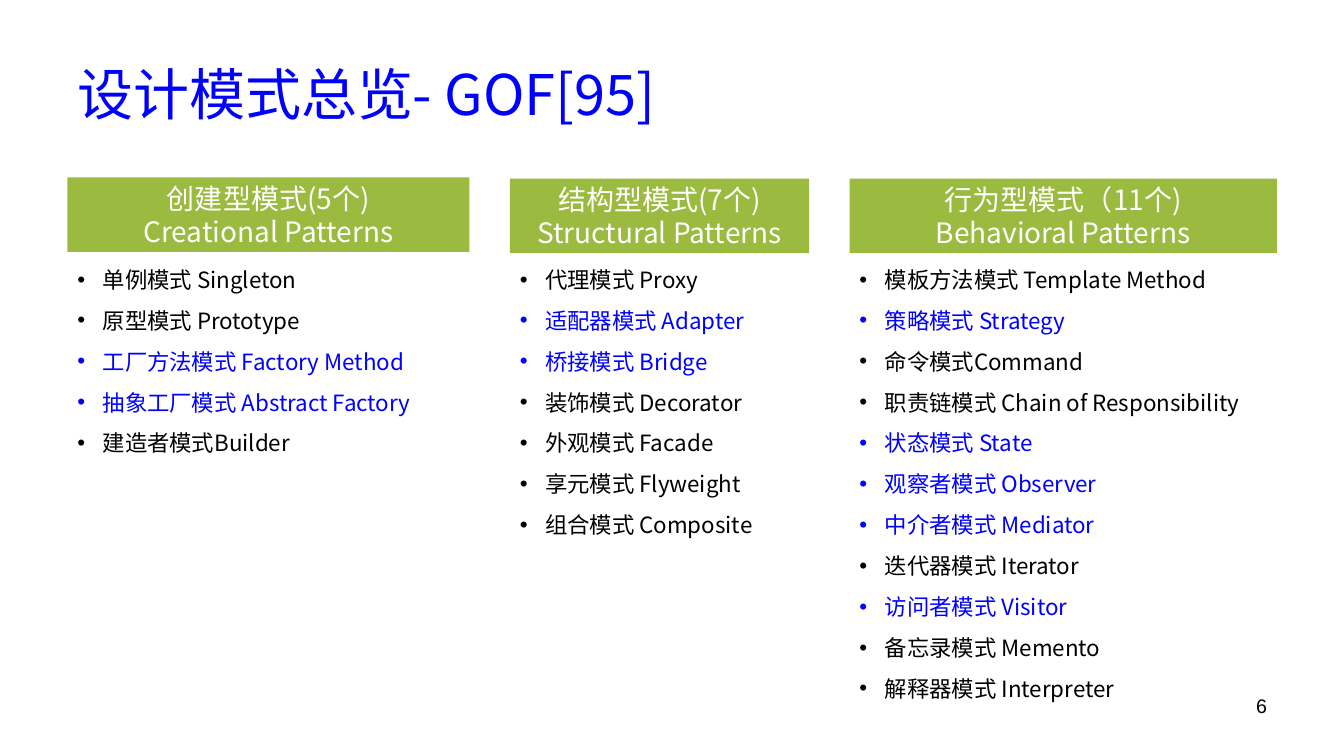
from dataclasses import dataclass

from lxml import etree
from pptx import Presentation
from pptx.dml.color import RGBColor
from pptx.enum import shapes, text
from pptx.oxml.ns import qn
from pptx.util import Cm, Pt

BLUE = RGBColor(0x00, 0x00, 0xFF)
GREEN = RGBColor(0x9B, 0xBB, 0x40)
BLACK = RGBColor(0x00, 0x00, 0x00)
WHITE = RGBColor(0xFF, 0xFF, 0xFF)
CJK_FONT = "Noto Sans CJK SC"
LIST_TOP = 6.58
HEADER_HEIGHT = 1.88


@dataclass
class Pattern:
    name: str
    highlighted: bool = False


@dataclass
class Category:
    left: float
    width: float
    header_top: float
    list_height: float
    heading: tuple[str, str]
    patterns: list[Pattern]


CATEGORIES = [
    Category(1.7, 10.13, 4.47, 5.28, ("创建型模式(5个)", "Creational Patterns"), [
        Pattern("单例模式 Singleton"),
        Pattern("原型模式 Prototype"),
        Pattern("工厂方法模式 Factory Method", True),
        Pattern("抽象工厂模式 Abstract Factory", True),
        Pattern("建造者模式Builder"),
    ]),
    Category(12.85, 7.54, 4.5, 8.31, ("结构型模式(7个)", "Structural Patterns"), [
        Pattern("代理模式 Proxy"),
        Pattern("适配器模式 Adapter", True),
        Pattern("桥接模式 Bridge", True),
        Pattern("装饰模式 Decorator"),
        Pattern("外观模式 Facade"),
        Pattern("享元模式 Flyweight"),
        Pattern("组合模式 Composite"),
    ]),
    Category(21.41, 10.77, 4.5, 11.3, ("行为型模式（11个)", "Behavioral Patterns"), [
        Pattern("模板方法模式 Template Method"),
        Pattern("策略模式 Strategy", True),
        Pattern("命令模式Command"),
        Pattern("职责链模式 Chain of Responsibility"),
        Pattern("状态模式 State", True),
        Pattern("观察者模式 Observer", True),
        Pattern("中介者模式 Mediator", True),
        Pattern("迭代器模式 Iterator"),
        Pattern("访问者模式 Visitor", True),
        Pattern("备忘录模式 Memento"),
        Pattern("解释器模式 Interpreter"),
    ]),
]


def add_span(para, words: str, size: float, color: RGBColor, font: str = CJK_FONT) -> None:
    span = para.add_run()
    span.text = words
    span.font.size = Pt(size)
    span.font.name = font
    span.font.color.rgb = color
    east_asian = etree.SubElement(span.font._element, qn("a:ea"))
    east_asian.set("typeface", font)


def add_box(page, left: float, top: float, width: float, height: float):
    box = page.shapes.add_textbox(Cm(left), Cm(top), Cm(width), Cm(height))
    box.text_frame.word_wrap = True
    return box.text_frame


def next_para(frame, index: int):
    return frame.add_paragraph() if index else frame.paragraphs[0]


def add_bullet(para) -> None:
    properties = para._p.get_or_add_pPr()
    properties.set("marL", str(Cm(0.64)))
    properties.set("indent", str(-Cm(0.64)))
    etree.SubElement(properties, qn("a:buFont")).set("typeface", "Arial")
    etree.SubElement(properties, qn("a:buChar")).set("char", "•")


def add_header(page, category: Category) -> None:
    bar = page.shapes.add_shape(
        shapes.MSO_SHAPE.RECTANGLE, Cm(category.left), Cm(category.header_top),
        Cm(category.width), Cm(HEADER_HEIGHT))
    bar.shadow.inherit = False
    bar.fill.solid()
    bar.fill.fore_color.rgb = GREEN
    bar.line.fill.background()
    frame = bar.text_frame
    frame.word_wrap = True
    frame.vertical_anchor = text.MSO_ANCHOR.MIDDLE
    frame.margin_left = frame.margin_right = frame.margin_top = frame.margin_bottom = 0
    for index, line in enumerate(category.heading):
        para = next_para(frame, index)
        para.alignment = text.PP_ALIGN.CENTER
        add_span(para, line, 20, WHITE)


def add_pattern_list(page, category: Category) -> None:
    frame = add_box(page, category.left, LIST_TOP, category.width, category.list_height)
    for index, pattern in enumerate(category.patterns):
        para = next_para(frame, index)
        add_bullet(para)
        if index:
            para.space_before = Pt(10)
        add_span(para, pattern.name, 16, BLUE if pattern.highlighted else BLACK)


def main() -> None:
    deck = Presentation()
    deck.slide_width, deck.slide_height = Cm(33.87), Cm(19.05)
    page = deck.slides.add_slide(deck.slide_layouts[6])

    # Title
    title = add_box(page, 1.7, 0.76, 30.48, 3.18)
    title.vertical_anchor = text.MSO_ANCHOR.MIDDLE
    add_span(title.paragraphs[0], "设计模式总览- GOF[95]", 40, BLUE)

    # Pattern categories
    for category in CATEGORIES:
        add_header(page, category)
        add_pattern_list(page, category)

    # Page number
    number = add_box(page, 24.28, 17.35, 7.9, 1.32).paragraphs[0]
    number.alignment = text.PP_ALIGN.RIGHT
    add_span(number, "6", 14, BLACK, "Arial")

    deck.save("out.pptx")


if __name__ == "__main__":
    main()
